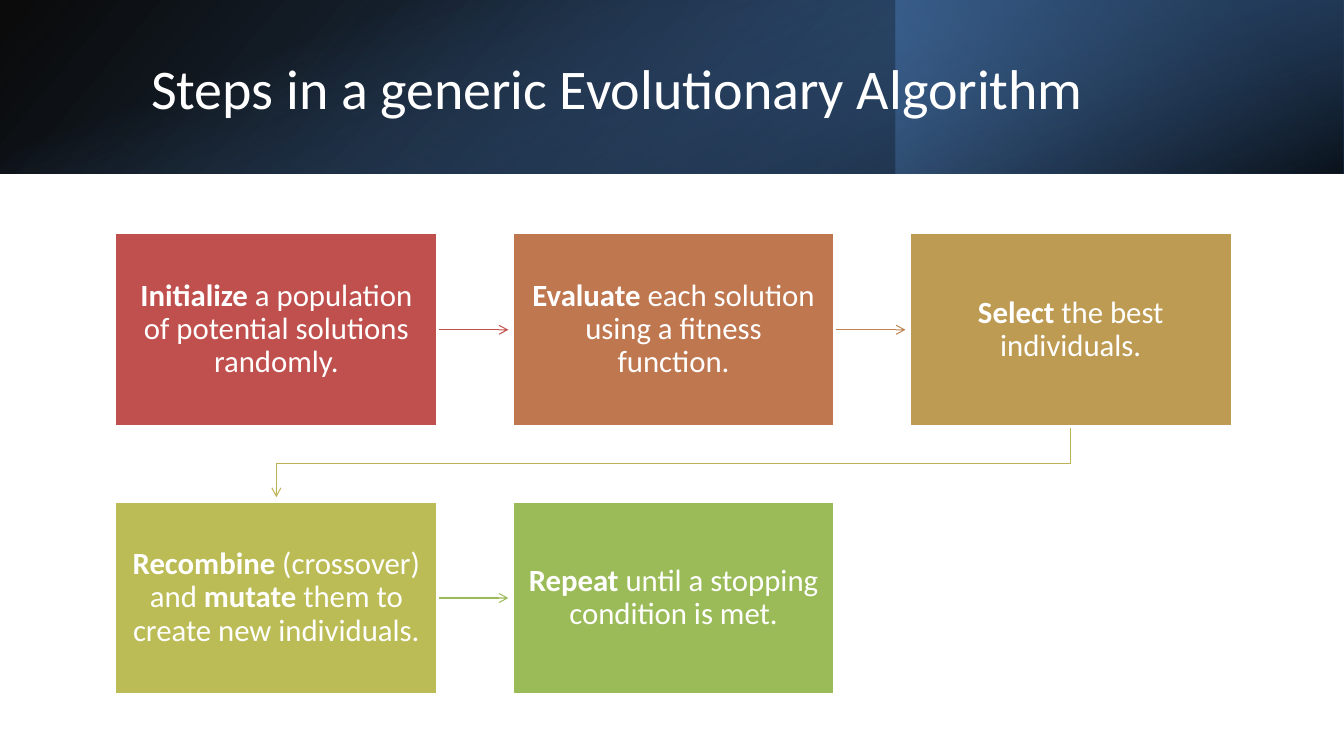
from lxml import etree
from pptx import Presentation
from pptx.dml.color import RGBColor
from pptx.enum.shapes import MSO_CONNECTOR, MSO_SHAPE
from pptx.enum.text import MSO_ANCHOR, PP_ALIGN
from pptx.oxml.ns import qn
from pptx.util import Cm, Pt

RECTANGLE = MSO_SHAPE.RECTANGLE
STRAIGHT = MSO_CONNECTOR.STRAIGHT
MIDDLE = MSO_ANCHOR.MIDDLE
LEFT, CENTER = PP_ALIGN.LEFT, PP_ALIGN.CENTER

SLIDE_WIDTH, SLIDE_HEIGHT = 33.87, 19.05
BANNER_HEIGHT = 4.37
COLUMNS = 3
BOX_WIDTH, BOX_HEIGHT = 8.13, 4.88
GRID_LEFT, GRID_TOP = 2.9, 5.87
COLUMN_PITCH, ROW_PITCH = 10.01, 6.76
ARROW_GAP = 0.1

STEPS = [
    ("C0504D", "C0504D", [("Initialize", True), (" a population of potential solutions randomly.", False)]),
    ("BF7750", "BE8351", [("Evaluate", True), (" each solution using a fitness function.", False)]),
    ("BD9B53", "BDB255", [("Select", True), (" the best individuals.", False)]),
    ("BCBC56", "9BBB59", [("Recombine", True), (" (crossover) and ", False), ("mutate", True),
                          (" them to create new individuals.", False)]),
    ("9BBB59", None, [("Repeat", True), (" until a stopping condition is met.", False)]),
]


def rgb(value):
    """Turn a hex string into a colour."""
    return RGBColor.from_string(value)


def write_text(shape, spans, size=22, color="FFFFFF", align=CENTER, spacing=1.0, inset=0.0):
    """Write (text, bold) spans as one paragraph in a shape."""
    frame = shape.text_frame
    frame.word_wrap = True
    frame.vertical_anchor = MIDDLE
    frame.margin_left = frame.margin_right = Cm(inset)
    frame.margin_top = frame.margin_bottom = Cm(inset)
    para = frame.paragraphs[0]
    para.alignment = align
    para.line_spacing = spacing
    for text, bold in spans:
        span = para.add_run()
        span.text = text
        span.font.name = "Calibri"
        span.font.size = Pt(size)
        span.font.bold = bold
        span.font.color.rgb = rgb(color)


def add_gradient(page, left, top, width, height, stops, angle, rotation=0, flip=False):
    """Add a rectangle filled with a partly transparent linear gradient."""
    panel = page.shapes.add_shape(RECTANGLE, Cm(left), Cm(top), Cm(width), Cm(height))
    panel.shadow.inherit = False
    panel.line.fill.background()
    panel.fill.background()
    panel.rotation = rotation
    properties = panel.element.spPr
    if flip:
        properties.find(qn("a:xfrm")).set("flipH", "1")
    gradient = etree.Element(qn("a:gradFill"), rotWithShape="1")
    stop_list = etree.SubElement(gradient, qn("a:gsLst"))
    for position, color, opacity in stops:
        stop = etree.SubElement(stop_list, qn("a:gs"), pos=str(position * 1000))
        shade = etree.SubElement(stop, qn("a:srgbClr"), val=color)
        etree.SubElement(shade, qn("a:alpha"), val=str(opacity * 1000))
    etree.SubElement(gradient, qn("a:lin"), ang=str(angle * 60000), scaled="0")
    properties.replace(properties.find(qn("a:noFill")), gradient)


def add_banner(page, title):
    """Add the layered banner with the slide title."""
    third = SLIDE_WIDTH / 3
    offset = (SLIDE_WIDTH - BANNER_HEIGHT) / 2
    add_gradient(page, 0, 0, SLIDE_WIDTH, BANNER_HEIGHT,
                 [(0, "000000", 96), (100, "376092", 100)], 140, flip=True)
    add_gradient(page, 2 * third, 0, third, BANNER_HEIGHT,
                 [(19, "254061", 68), (100, "4F81BD", 79)], 320, rotation=180)
    add_gradient(page, offset, -offset, BANNER_HEIGHT, SLIDE_WIDTH,
                 [(23, "4F81BD", 0), (99, "000000", 74)], 340, rotation=90)
    box = page.shapes.add_textbox(Cm(3.81), Cm(0.97), Cm(27.89), Cm(2.44))
    write_text(box, [(title, False)], size=40, align=LEFT)


def add_arrow(page, points, color):
    """Add an arrow along the points, straight for two and bent for more."""
    places = [(Cm(x), Cm(y)) for x, y in points]
    if len(places) == 2:
        arrow = page.shapes.add_connector(STRAIGHT, *places[0], *places[1])
    else:
        builder = page.shapes.build_freeform(*places[0])
        builder.add_line_segments(places[1:], close=False)
        arrow = builder.convert_to_shape()
        arrow.fill.background()
    arrow.line.color.rgb = rgb(color)
    arrow.line.width = Pt(0.75)
    properties = arrow.element.spPr
    etree.SubElement(properties.find(qn("a:ln")), qn("a:tailEnd"), type="arrow")
    etree.SubElement(properties, qn("a:effectLst"))


def box_corner(index):
    """Return the left and top of a step box in the grid."""
    row, column = divmod(index, COLUMNS)
    return GRID_LEFT + column * COLUMN_PITCH, GRID_TOP + row * ROW_PITCH


def route(index):
    """Return the points from a step box to the next one."""
    left, top = box_corner(index)
    next_left, next_top = box_corner(index + 1)
    if top == next_top:
        middle = top + BOX_HEIGHT / 2
        return [(left + BOX_WIDTH, middle), (next_left - ARROW_GAP, middle)]
    start, end = left + BOX_WIDTH / 2, next_left + BOX_WIDTH / 2
    bottom = top + BOX_HEIGHT
    bend = (bottom + next_top) / 2
    return [(start, bottom), (start, bend), (end, bend), (end, next_top - ARROW_GAP)]


def add_step(page, index, color, spans):
    """Add one step box with its text."""
    left, top = box_corner(index)
    box = page.shapes.add_shape(RECTANGLE, Cm(left), Cm(top), Cm(BOX_WIDTH), Cm(BOX_HEIGHT))
    box.shadow.inherit = False
    box.fill.solid()
    box.fill.fore_color.rgb = rgb(color)
    box.line.color.rgb = rgb("FFFFFF")
    box.line.width = Pt(2)
    write_text(box, spans, spacing=0.9, inset=0.4)


def main():
    """Build the slide and save it."""
    deck = Presentation()
    deck.slide_width, deck.slide_height = Cm(SLIDE_WIDTH), Cm(SLIDE_HEIGHT)
    page = deck.slides.add_slide(deck.slide_layouts[6])
    add_banner(page, "Steps in a generic Evolutionary Algorithm")
    for index, (color, arrow_color, spans) in enumerate(STEPS):
        if arrow_color:
            add_arrow(page, route(index), arrow_color)
        add_step(page, index, color, spans)
    deck.save("out.pptx")


if __name__ == "__main__":
    main()
